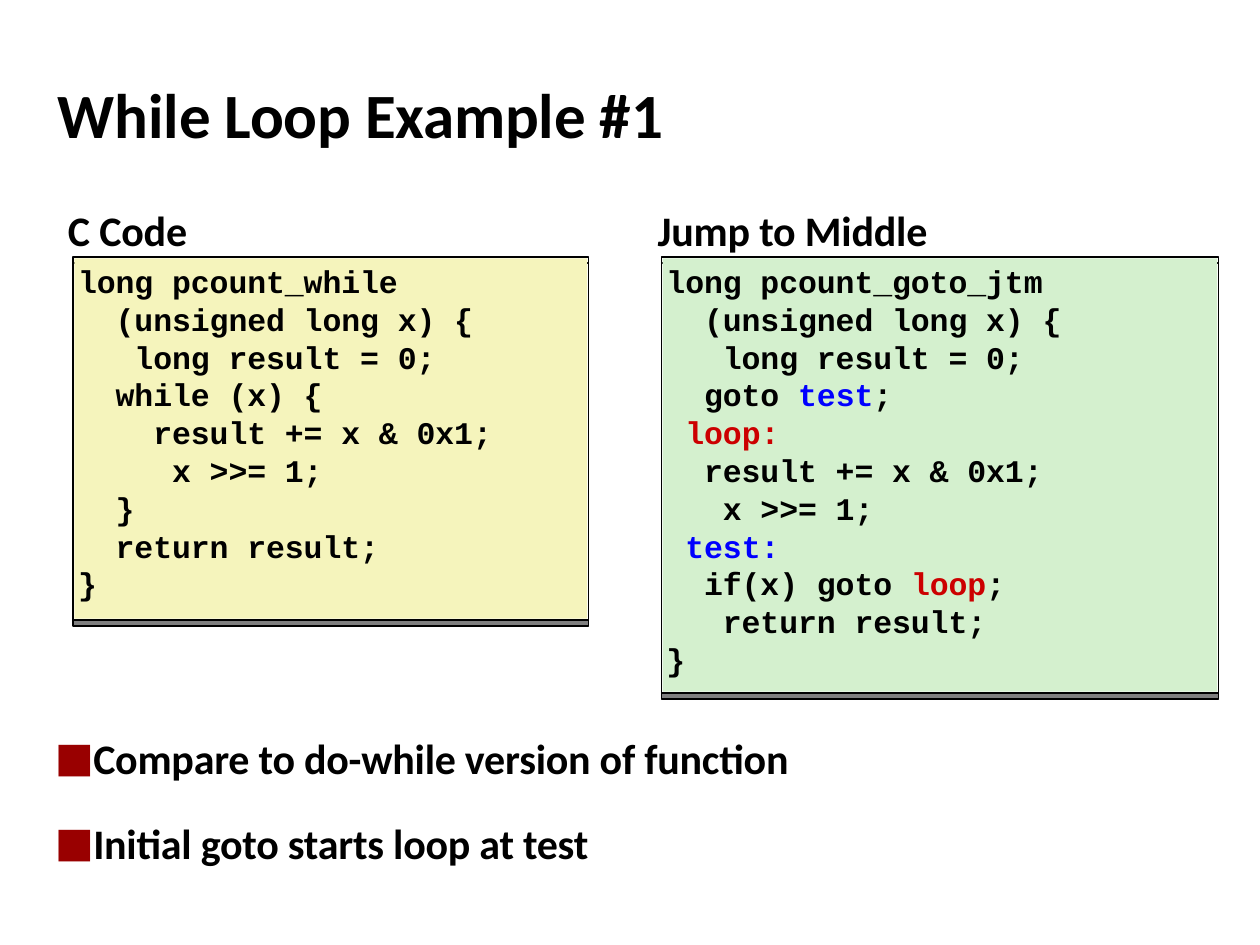
from lxml import etree
from pptx import Presentation
from pptx.dml.color import RGBColor
from pptx.enum import shapes, text
from pptx.oxml import ns
from pptx.util import Inches, Pt

HUES = {"black": "000000", "cream": "F5F4BC", "mint": "D4F0CE",
        "test": "0000FF", "loop": "CC0000", "bullet": "990000"}
LEFT = """long pcount_while
  (unsigned long x) {
   long result = 0;
  while (x) {
    result += x & 0x1;
     x >>= 1;
  }
  return result;
}"""
# Bars enclose the coloured labels
RIGHT = """long pcount_goto_jtm
  (unsigned long x) {
   long result = 0;
  goto |test|;
 |loop:|
  result += x & 0x1;
   x >>= 1;
 |test:|
  if(x) goto |loop|;
   return result;
}"""


def style(para, face, size, track):
    para.alignment = text.PP_ALIGN.LEFT
    font = para.font
    font.name, font.size, font.bold = face, Pt(size), True
    font.color.rgb = RGBColor.from_string(HUES["black"])
    font._rPr.set("spc", str(track))


def setup(box, left, top):
    frame = box.text_frame
    frame.word_wrap = True
    frame.auto_size = text.MSO_AUTO_SIZE.NONE
    frame.vertical_anchor = text.MSO_ANCHOR.TOP
    frame.margin_left, frame.margin_top = Inches(left), Inches(top)
    frame.margin_right = frame.margin_bottom = 0
    return frame


deck = Presentation()
deck.slide_width, deck.slide_height = Inches(10), Inches(7.5)
slide = deck.slides.add_slide(deck.slide_layouts[1])
title, body = slide.placeholders

# Title
title.left, title.top = Inches(0.44), Inches(0.59)
title.width, title.height = Inches(4.95), Inches(0.63)
frame = setup(title, 0.02, 0.01)
frame.text = "While Loop Example #1"
style(frame.paragraphs[0], "Calibri", 36, -10)

# Code panels: shadow strip, two frames, filled code box
for x, wide, high, hue, code in ((0.58, 4.09, 2.88, "cream", LEFT),
                                 (5.25, 4.42, 3.46, "mint", RIGHT)):
    top, drop = 2.04, 0.05
    parts = []
    for y, tall in ((top + high, drop), (top + drop, high), (top, high)):
        part = slide.shapes.add_shape(shapes.MSO_SHAPE.RECTANGLE, Inches(x),
                                      Inches(y), Inches(wide), Inches(tall))
        part.shadow.inherit = False
        parts.append(part)
    strip, *rims = parts
    strip.line.fill.background()
    strip.fill.solid()
    strip.fill.fore_color.rgb = RGBColor.from_string(HUES["black"])
    tone = strip.fill._xPr.find(".//" + ns.qn("a:srgbClr"))
    etree.SubElement(tone, ns.qn("a:alpha"), val="50000")
    for rim in rims:
        rim.fill.background()
        rim.line.color.rgb = RGBColor.from_string(HUES["black"])
        rim.line.width = Pt(1)

    box = slide.shapes.add_shape(
        shapes.MSO_SHAPE.RECTANGLE, Inches(x + 0.01), Inches(top + 0.01),
        Inches(wide - 0.02), Inches(high - 0.02))
    box.shadow.inherit = False
    box.fill.solid()
    box.fill.fore_color.rgb = RGBColor.from_string(HUES[hue])
    box.line.fill.background()
    frame = setup(box, 0.03, 0.03)
    for row, line in enumerate(code.split("\n")):
        para = frame.add_paragraph() if row else frame.paragraphs[0]
        style(para, "Courier New", 18, -5)
        para.line_spacing = Pt(21.6)
        for spot, piece in enumerate(line.split("|")):
            if piece:
                run = para.add_run()
                run.text = piece
                label = piece.strip(":") if spot % 2 else "black"
                run.font.color.rgb = RGBColor.from_string(HUES[label])

# Panel headings, parted by a tab stop
heads = slide.shapes.add_textbox(Inches(0.53), Inches(1.61),
                                 Inches(7.2), Inches(0.43))
frame = setup(heads, 0.01, 0.01)
para = frame.paragraphs[0]
para.text = "C Code\tJump to Middle"
tabs = etree.SubElement(para._p.get_or_add_pPr(), ns.qn("a:tabLst"))
etree.SubElement(tabs, ns.qn("a:tab"), pos=str(Inches(4.68)), algn="l")
style(para, "Calibri", 24, -10)

# Bullet list
body.left, body.top = Inches(0.44), Inches(5.54)
body.width, body.height = Inches(6.2), Inches(1.5)
frame = setup(body, 0.01, 0.27)
for row, line in enumerate(("Compare to do-while version of function",
                            "Initial goto starts loop at test")):
    para = frame.add_paragraph() if row else frame.paragraphs[0]
    para.text = line
    para.space_before = Pt(20 * row)
    props = para._p.get_or_add_pPr()
    props.set("marL", str(Inches(0.29)))
    props.set("indent", str(Inches(-0.29)))
    tint = etree.SubElement(props, ns.qn("a:buClr"))
    etree.SubElement(tint, ns.qn("a:srgbClr"), val=HUES["bullet"])
    etree.SubElement(props, ns.qn("a:buSzPct"), val="87000")
    etree.SubElement(props, ns.qn("a:buFont"), typeface="Lato")
    etree.SubElement(props, ns.qn("a:buChar"), char="⬛")
    style(para, "Calibri", 24, -15)

deck.save("out.pptx")
